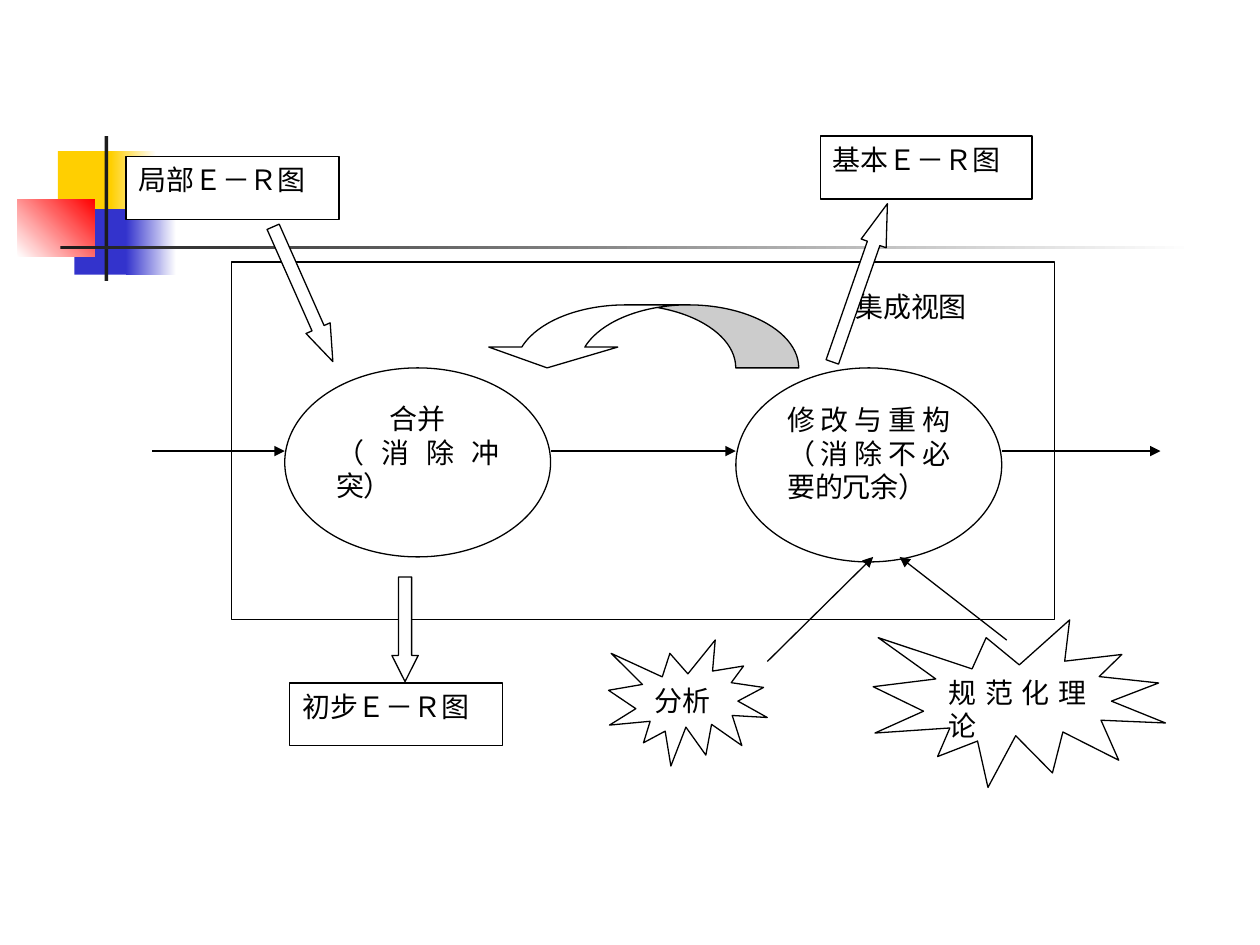
from lxml.etree import SubElement
from pptx import Presentation
from pptx.dml.color import RGBColor
from pptx.enum.shapes import MSO_CONNECTOR, MSO_SHAPE
from pptx.enum.text import MSO_ANCHOR, PP_ALIGN
from pptx.oxml.ns import qn
from pptx.util import Inches, Pt

COLORS = {"white": "FFFFFF", "black": "000000", "yellow": "FFCF01",
          "blue": "3333CC", "red": "FF0000", "dark": "1C1C1C"}
FONT = {"name": "Times New Roman", "size": Pt(16)}
FRAME = {"word_wrap": True, "vertical_anchor": MSO_ANCHOR.TOP}
LINE_WIDTH = Pt(0.75)


def rgb(name):
    return RGBColor.from_string(COLORS[name])


def add_box(kind, box, fill="white", outlined=True, text=()):
    shape = slide.shapes.add_shape(kind, *map(Inches, box))
    shape.shadow.inherit = False
    shape.fill.solid()
    shape.fill.fore_color.rgb = rgb(fill)
    if outlined:
        shape.line.color.rgb = rgb("black")
        shape.line.width = LINE_WIDTH
    else:
        shape.line.fill.background()
    frame = shape.text_frame
    for name, value in FRAME.items():
        setattr(frame, name, value)
    for index, (words, alignment) in enumerate(text):
        paragraph = frame.paragraphs[0] if index == 0 else frame.add_paragraph()
        paragraph.text = words
        paragraph.alignment = alignment
        for name, value in FONT.items():
            setattr(paragraph.font, name, value)
        paragraph.font.color.rgb = rgb("black")
    return shape


presentation = Presentation()
presentation.slide_width = Inches(10)
presentation.slide_height = Inches(7.5)
slide = presentation.slides.add_slide(presentation.slide_layouts[6])

# Corner decoration: start colour, end colour (None for solid), angle
decorations = [
    ((0.46, 1.2, 0.48, 0.52), "yellow", None, 0),
    ((0.88, 1.2, 0.36, 0.52), "yellow", "white", 0),
    ((0.59, 1.66, 0.46, 0.52), "blue", None, 0),
    ((1, 1.66, 0.4, 0.52), "blue", "white", 0),
    ((0.14, 1.58, 0.61, 0.46), "white", "red", 45),
    ((0.83, 1.08, 0.03, 1.15), "dark", None, 0),
    ((0.48, 1.95, 9, 0.03), "dark", "white", 0),
]
for box, start, end, angle in decorations:
    shape = add_box(MSO_SHAPE.RECTANGLE, box, start, outlined=False)
    if end:
        shape.fill.gradient()
        shape.fill.gradient_angle = angle
        for stop, color in zip(shape.fill.gradient_stops, (start, end)):
            stop.color.rgb = rgb(color)

# Integration frame, processes, diagrams and inputs
JUSTIFY, CENTER = PP_ALIGN.JUSTIFY, PP_ALIGN.CENTER
RECTANGLE, OVAL, BURST = MSO_SHAPE.RECTANGLE, MSO_SHAPE.OVAL, MSO_SHAPE.EXPLOSION1
parts = [
    (RECTANGLE, (1, 1.24, 1.69, 0.5), True, [("局部Ｅ－Ｒ图", JUSTIFY)]),
    (RECTANGLE, (1.84, 2.08, 6.53, 2.84), True, []),
    (OVAL, (2.26, 2.92, 2.11, 1.5), True,
     [("合并", CENTER), ("（消除冲突）", JUSTIFY)]),
    (OVAL, (5.84, 2.92, 2.11, 1.54), True,
     [("修改与重构（消除不必要的冗余）", JUSTIFY)]),
    (RECTANGLE, (6.69, 2.25, 1.26, 0.5), False, [("集成视图", JUSTIFY)]),
    (RECTANGLE, (6.51, 1.08, 1.68, 0.5), True, [("基本Ｅ－Ｒ图", JUSTIFY)]),
    (RECTANGLE, (2.3, 5.42, 1.69, 0.5), True, [("初步Ｅ－Ｒ图", JUSTIFY)]),
    (BURST, (4.83, 5.08, 1.26, 1), True, [("分析", JUSTIFY)]),
    (BURST, (6.93, 4.92, 2.32, 1.33), True, [("规范化理论", JUSTIFY)]),
]
for kind, box, outlined, text in parts:
    add_box(kind, box, outlined=outlined, text=text)

# Block arrows
block_arrows = [
    (MSO_SHAPE.CURVED_DOWN_ARROW, (3.83, 2.42, 2.51, 0.5), 0, (1, 2.05, 0.33)),
    (MSO_SHAPE.DOWN_ARROW, (3.11, 4.58, 0.21, 0.83), 0, (0.5, 0.99)),
    (MSO_SHAPE.UP_ARROW, (6.72, 1.58, 0.21, 1.33), 19.2, (0.5, 1.59)),
    (MSO_SHAPE.DOWN_ARROW, (2.3, 1.75, 0.21, 1.17), 336.1, (0.5, 1.38)),
]
for kind, box, rotation, adjustments in block_arrows:
    arrow = add_box(kind, box)
    arrow.rotation = rotation
    for index, value in enumerate(adjustments):
        arrow.adjustments[index] = value
    if kind == MSO_SHAPE.CURVED_DOWN_ARROW:  # feedback runs right to left
        arrow._element.spPr.find(qn("a:xfrm")).set("flipH", "1")

# Flow lines with arrowheads
flows = [
    (1.21, 3.58, 2.26, 3.58),
    (4.37, 3.58, 5.84, 3.58),
    (7.95, 3.58, 9.21, 3.58),
    (6.09, 5.25, 6.93, 4.42),
    (7.99, 5.08, 7.14, 4.42),
]
for ends in flows:
    connector = slide.shapes.add_connector(MSO_CONNECTOR.STRAIGHT, *map(Inches, ends))
    connector.line.color.rgb = rgb("black")
    connector.line.width = LINE_WIDTH
    SubElement(connector.line._get_or_add_ln(), qn("a:tailEnd"), type="triangle")
    SubElement(connector._element.spPr, qn("a:effectLst"))

presentation.save("out.pptx")
